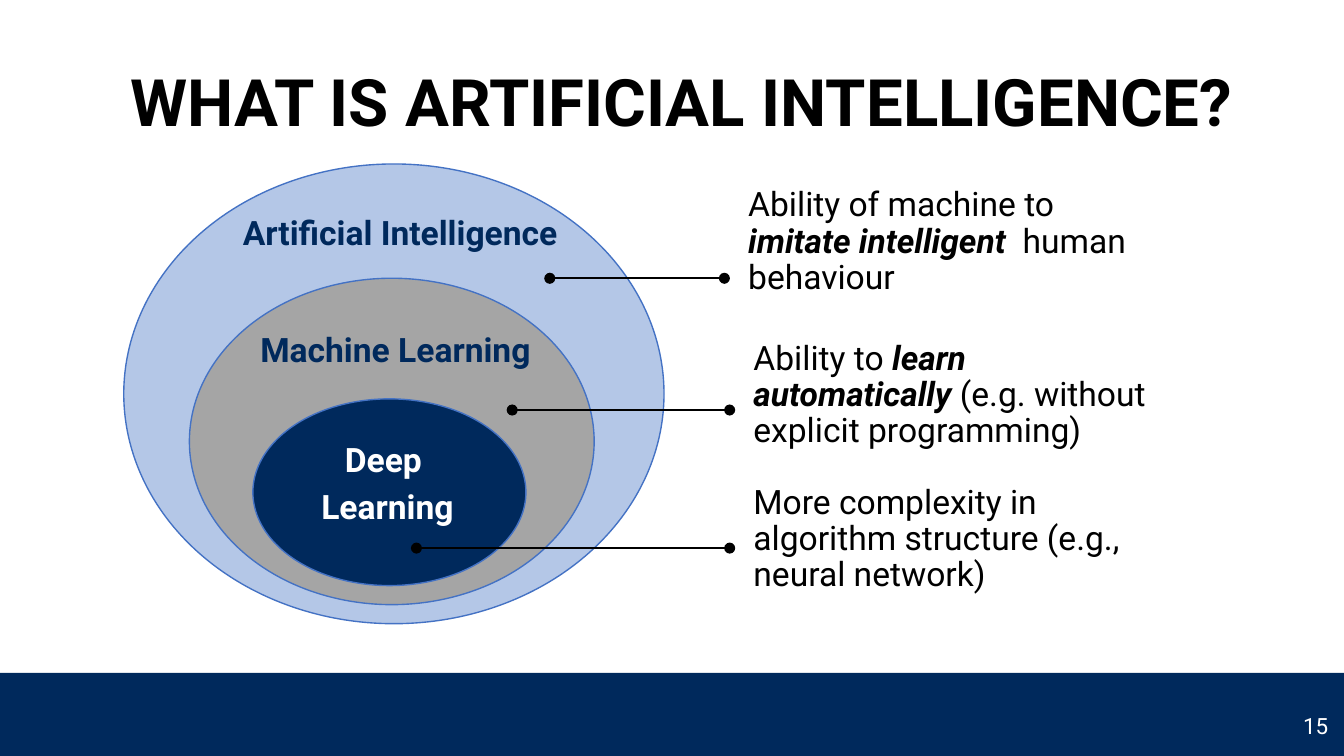
from pptx import Presentation
from pptx.dml.color import RGBColor
from pptx.enum.shapes import MSO_CONNECTOR, MSO_SHAPE
from pptx.enum.text import MSO_ANCHOR, MSO_AUTO_SIZE, PP_ALIGN
from pptx.oxml.ns import qn
from pptx.util import Cm, Pt
from lxml import etree

CENTER, LEFT = PP_ALIGN.CENTER, PP_ALIGN.LEFT
TOP, MIDDLE, BOTTOM = MSO_ANCHOR.TOP, MSO_ANCHOR.MIDDLE, MSO_ANCHOR.BOTTOM
NO_AUTOFIT = MSO_AUTO_SIZE.NONE
RECTANGLE, OVAL = MSO_SHAPE.RECTANGLE, MSO_SHAPE.OVAL
STRAIGHT = MSO_CONNECTOR.STRAIGHT
LEFT_SIDE = 1

FONT = "Roboto"
NAVY, BLACK, WHITE = "00295C", "000000", "FFFFFF"
LIGHT_BLUE, GRAY, OUTLINE = "B4C7E7", "A5A5A5", "4472C4"


def color(hex_value):
    return RGBColor.from_string(hex_value)


def place(shape, box):
    shape.left, shape.top, shape.width, shape.height = (Cm(value) for value in box)


def prepare_frame(shape, anchor):
    frame = shape.text_frame
    frame.word_wrap = True
    frame.auto_size = NO_AUTOFIT
    frame.vertical_anchor = anchor
    frame.margin_left = frame.margin_right = Cm(0.25)
    frame.margin_top = frame.margin_bottom = Cm(0.25)
    return frame


def write(shape, paragraphs, size=18, text_color=BLACK, bold=False, align=LEFT,
          anchor=TOP, indent=0.2, line_spacing=0.9):
    """Fill a shape; each paragraph is a list of (text, emphasized) runs."""
    frame = prepare_frame(shape, anchor)
    for index, runs in enumerate(paragraphs):
        paragraph = frame.add_paragraph() if index else frame.paragraphs[0]
        properties = paragraph._p.get_or_add_pPr()
        properties.set("marL", str(Cm(indent)))
        properties.set("indent", "0")
        etree.SubElement(properties, qn("a:buNone"))
        paragraph.alignment = align
        paragraph.line_spacing = line_spacing
        paragraph.space_before = Pt(6 if index else 0)
        font = paragraph.font
        font.name, font.size, font.bold = FONT, Pt(size), bold
        font.color.rgb = color(text_color)
        for text, emphasized in runs:
            run = paragraph.add_run()
            run.text = text
            if emphasized:
                run.font.bold = run.font.italic = True


def add_text(slide, box, paragraphs, **style):
    shape = slide.shapes.add_textbox(*(Cm(value) for value in box))
    write(shape, paragraphs, **style)
    return shape


def add_filled_shape(slide, kind, box, fill, outline=None):
    shape = slide.shapes.add_shape(kind, *(Cm(value) for value in box))
    shape.shadow.inherit = False
    shape.fill.solid()
    shape.fill.fore_color.rgb = color(fill)
    if outline:
        shape.line.color.rgb = color(outline)
        shape.line.width = Pt(0.75)
    else:
        shape.line.fill.background()


def add_callout_line(slide, start, end, y):
    """Draw a horizontal line with a dot at each end."""
    connector = slide.shapes.add_connector(STRAIGHT, Cm(start), Cm(y), Cm(end), Cm(y))
    connector.line.color.rgb = color(BLACK)
    connector.line.width = Pt(1)
    line = connector.line._get_or_add_ln()
    for end_name in ("a:headEnd", "a:tailEnd"):
        etree.SubElement(line, qn(end_name), type="oval")
    etree.SubElement(connector._element.spPr, qn("a:effectLst"))
    return connector


def main():
    presentation = Presentation()
    presentation.slide_width, presentation.slide_height = Cm(25.4), Cm(14.29)
    slide = presentation.slides.add_slide(presentation.slide_layouts[1])

    add_filled_shape(slide, RECTANGLE, (0, 12.72, 25.4, 1.57), NAVY)

    title = slide.shapes.title
    place(title, (1.78, 0.51, 22.22, 2.39))
    write(title, [[("WHAT IS ARTIFICIAL INTELLIGENCE?", False)]], size=35, bold=True,
          align=CENTER, anchor=BOTTOM, indent=0)

    intelligence_text = slide.placeholders[1]
    place(intelligence_text, (13.69, 3.3, 8.26, 2.88))
    write(intelligence_text, [[("Ability of machine to ", False),
                               ("imitate intelligent", True),
                               ("  human behaviour", False)]])

    for box, fill in (
        ((2.34, 3.1, 10.21, 8.69), LIGHT_BLUE),
        ((3.58, 5.26, 7.65, 6.17), GRAY),
        ((4.78, 7.54, 5.16, 3.53), NAVY),
    ):
        add_filled_shape(slide, OVAL, box, fill, OUTLINE)

    for box, lines, text_color, align in (
        ((4.14, 3.84, 8.26, 1.47), ["Artificial Intelligence"], NAVY, LEFT),
        ((4.47, 6.05, 8.26, 1.47), ["Machine Learning"], NAVY, LEFT),
        ((5.08, 8.13, 4.29, 1.47), ["Deep ", "Learning"], WHITE, CENTER),
    ):
        add_text(slide, box, [[(line, False)] for line in lines],
                 text_color=text_color, bold=True, align=align)

    add_text(slide, (13.79, 6.2, 8.26, 2.88),
             [[("Ability to ", False), ("learn automatically ", True),
               ("(e.g. without explicit programming)", False)]])
    deep_text = add_text(
        slide, (13.79, 8.92, 8.26, 2.88),
        [[("More complexity in algorithm structure (e.g., neural network)", False)]])

    add_callout_line(slide, 10.39, 13.69, 5.26)
    add_callout_line(slide, 9.68, 13.79, 7.75)
    deep_line = add_callout_line(slide, 7.87, 13.79, 10.36)
    deep_line.end_connect(deep_text, LEFT_SIDE)

    add_text(slide, (24.38, 13.18, 1.02, 1.09), [[("15", False)]], size=12,
             text_color=WHITE, anchor=MIDDLE, indent=0, line_spacing=1)

    presentation.save("out.pptx")


if __name__ == "__main__":
    main()
